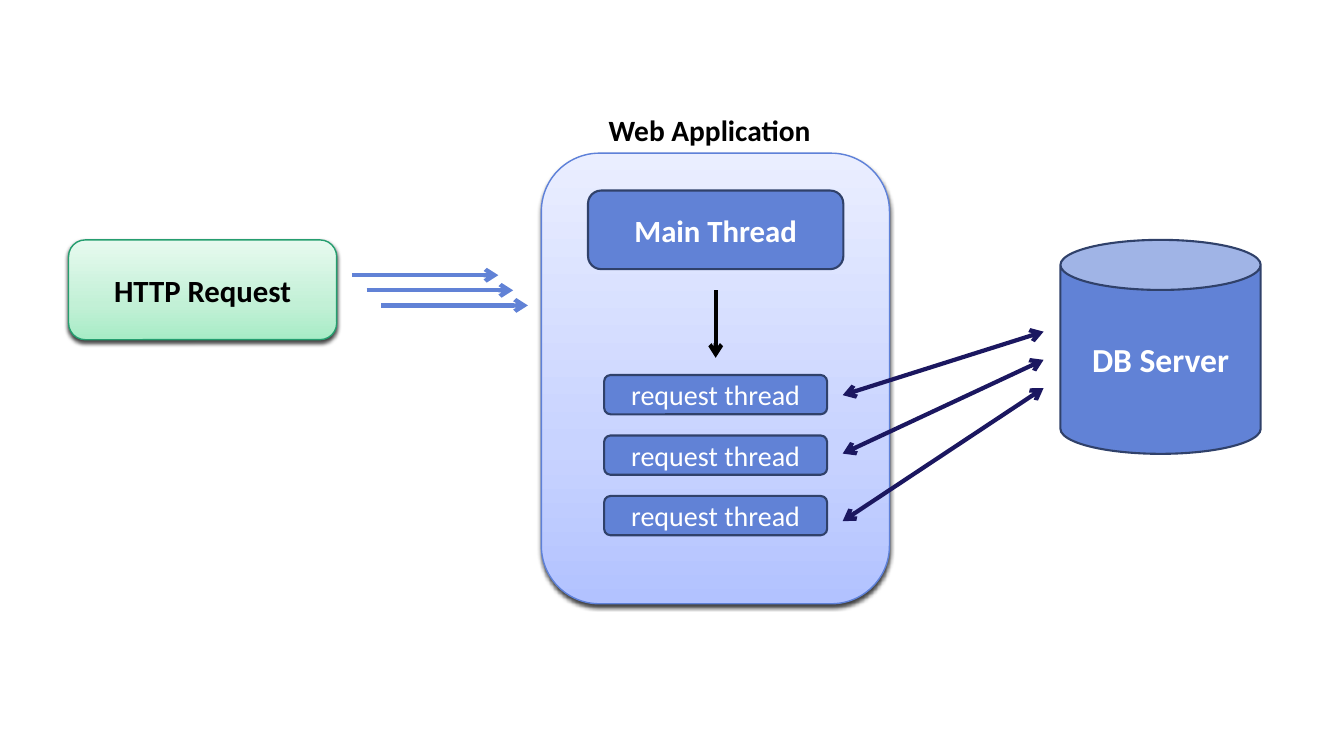
from lxml import etree
from pptx import Presentation
from pptx.dml.color import RGBColor
from pptx.enum.shapes import MSO_CONNECTOR as Connector, MSO_SHAPE as Shape
from pptx.enum.text import MSO_ANCHOR as Anchor, PP_ALIGN as Align
from pptx.oxml import parse_xml
from pptx.oxml.ns import nsdecls, qn
from pptx.util import Inches, Pt

COLORS = {
    "blue": "6182D6", "blue edge": "30416A", "navy": "1B1760",
    "black": "000000", "white": "FFFFFF",
    "green edge": "259E6F", "panel edge": "5E81D9",
}
GRADIENTS = {
    "green": ("A7ECC6", "C2F0D6", "E7FAEF"),
    "panel": ("B2C2FF", "C8D3FF", "EAEEFF"),
}

presentation = Presentation()
presentation.slide_width, presentation.slide_height = Inches(13.33), Inches(7.5)
slide = presentation.slides.add_slide(presentation.slide_layouts[6])

# The grid has 100 columns and 100 rows
COLUMN = presentation.slide_width / 100
ROW = presentation.slide_height / 100


def add_box(kind, left, top, width, height, text="", size=20, bold=True,
            color="white", fill="blue", edge="blue edge"):
    """Add a shape on the grid; a gradient fill also gets a soft shadow."""
    shape = slide.shapes.add_shape(kind, int(left * COLUMN), int(top * ROW),
                                   int(width * COLUMN), int(height * ROW))
    shape.shadow.inherit = False
    shape.line.color.rgb = RGBColor.from_string(COLORS[edge])
    shape.line.width = Pt(1.5)
    if fill in GRADIENTS:
        shape.line.width = Pt(1)
        shape.fill.gradient()
        shape.fill.gradient_angle = 90
        stops = shape._element.spPr.find(qn("a:gradFill")).find(qn("a:gsLst"))
        for stop in list(stops):
            stops.remove(stop)
        for position, value in zip((0, 35000, 100000), GRADIENTS[fill]):
            stops.append(parse_xml(
                f'<a:gs {nsdecls("a")} pos="{position}"><a:srgbClr val="{value}"/></a:gs>'))
        shape._element.spPr.find(qn("a:effectLst")).append(parse_xml(
            f'<a:outerShdw {nsdecls("a")} blurRad="{Pt(3)}" dist="{Pt(2)}" dir="5400000" '
            'rotWithShape="0"><a:srgbClr val="000000"><a:alpha val="75000"/></a:srgbClr>'
            '</a:outerShdw>'))
    else:
        shape.fill.solid()
        shape.fill.fore_color.rgb = RGBColor.from_string(COLORS[fill])
    if text:
        shape.text_frame.text = text
        shape.text_frame.vertical_anchor = Anchor.MIDDLE
        paragraph = shape.text_frame.paragraphs[0]
        paragraph.alignment = Align.CENTER
        paragraph.font.name, paragraph.font.size = "Calibri", Pt(size)
        paragraph.font.bold = bold
        paragraph.font.color.rgb = RGBColor.from_string(COLORS[color])


def add_arrow(start, end, color, ends=("tailEnd",)):
    """Add an arrow between two grid points, with heads at the given ends."""
    arrow = slide.shapes.add_connector(
        Connector.STRAIGHT, int(start[0] * COLUMN), int(start[1] * ROW),
        int(end[0] * COLUMN), int(end[1] * ROW))
    arrow.line.color.rgb = RGBColor.from_string(COLORS[color])
    arrow.line.width = Pt(3)
    line = arrow.line._get_or_add_ln()
    for name in ends:
        etree.SubElement(line, qn(f"a:{name}"), type="arrow")
    etree.SubElement(arrow._element.spPr, qn("a:effectLst"))


# Request, web application and database
add_box(Shape.ROUNDED_RECTANGLE, 5.1, 31.73, 19.95, 13.2, "HTTP Request", 22,
        color="black", fill="green", edge="green edge")
add_box(Shape.ROUNDED_RECTANGLE, 40.28, 20.27, 25.9, 59.6,
        fill="panel", edge="panel edge")
add_box(Shape.CAN, 78.9, 31.73, 14.9, 28.3, "DB Server", 24)

# Threads inside the application
add_box(Shape.ROUNDED_RECTANGLE, 43.75, 25.2, 19, 10.4, "Main Thread", 22)
for index in range(3):
    add_box(Shape.ROUNDED_RECTANGLE, 44.95, 49.6 + 8 * index, 16.6, 5.2,
            "request thread", bold=False)
add_arrow((53.25, 38.4), (53.25, 47.33), "black")

# Incoming requests, each one shifted right and down
for index in range(3):
    left, top = 26.18 + 1.1 * index, 36.4 + 2 * index
    add_arrow((left, top), (left + 10.9, top), "blue")

# Application title
label = slide.shapes.add_textbox(int(44.55 * COLUMN), int(14.13 * ROW),
                                 int(17.4 * COLUMN), int(6 * ROW))
label.text_frame.word_wrap = True
label.text_frame.text = "Web Application"
title = label.text_frame.paragraphs[0]
title.font.name, title.font.size, title.font.bold = "Calibri", Pt(21), True
title.font.color.rgb = RGBColor.from_string(COLORS["black"])

# Each request thread talks to the database
for index, thread_row in enumerate((52.27, 60, 68.93)):
    add_arrow((62.7, thread_row), (77.65, 43.87 + 3.73 * index), "navy",
              ends=("headEnd", "tailEnd"))

presentation.save("out.pptx")
